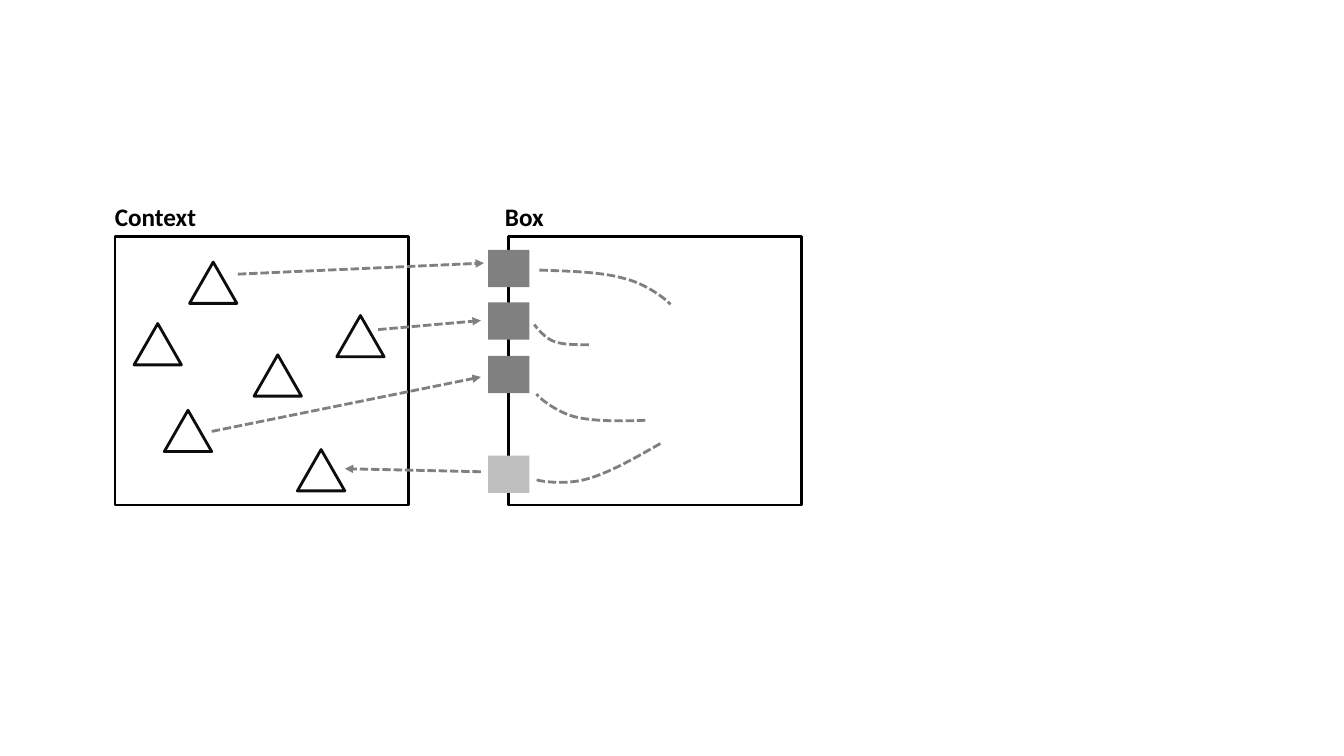
from pptx import Presentation
from pptx.dml.color import RGBColor
from pptx.enum.dml import MSO_LINE_DASH_STYLE as Dash
from pptx.enum.shapes import MSO_CONNECTOR, MSO_SHAPE
from pptx.enum.text import MSO_AUTO_SIZE
from pptx.oxml.ns import qn
from pptx.util import Pt
from lxml.etree import SubElement

PX = 9144  # EMU per px, 100 px to the inch
BLACK, INK, GRAY, LIGHT_GRAY = "000000", "0D0D0D", "808080", "BFBFBF"
FRAME_WIDTH, FRAME_HEIGHT = 291, 266
FRAME_TOP = 235
CONTEXT_LEFT, BOX_LEFT = 114, 504


def px(*lengths):
    return [length * PX for length in lengths]


def color(hex_code):
    return RGBColor.from_string(hex_code)


def set_line(shape, hex_code, dashed=False):
    shape.line.color.rgb = color(hex_code)
    shape.line.width = Pt(2)
    if dashed:
        shape.line.dash_style = Dash.SQUARE_DOT


def add_figure(slide, kind, left, top, width, height, fill=None, line=None):
    shape = slide.shapes.add_shape(kind, *px(left, top, width, height))
    shape.shadow.inherit = False
    if fill:
        shape.fill.solid()
        shape.fill.fore_color.rgb = color(fill)
    else:
        shape.fill.background()
    if line:
        set_line(shape, line)
    else:
        shape.line.fill.background()


def add_text(slide, text, left, top, width, height, size=18, bold=True,
             font="Calibri", hex_code=BLACK):
    frame = slide.shapes.add_textbox(*px(left, top, width, height)).text_frame
    frame.word_wrap = False
    frame.auto_size = MSO_AUTO_SIZE.SHAPE_TO_FIT_TEXT
    paragraph = frame.paragraphs[0]
    paragraph.text = text
    paragraph.font.size = Pt(size)
    paragraph.font.bold = bold
    paragraph.font.name = font
    paragraph.font.color.rgb = color(hex_code)


def add_arrow(slide, *ends):
    arrow = slide.shapes.add_connector(MSO_CONNECTOR.STRAIGHT, *px(*ends))
    set_line(arrow, GRAY, dashed=True)
    SubElement(arrow.line._get_or_add_ln(), qn("a:tailEnd"), type="triangle")
    SubElement(arrow._element.spPr, qn("a:effectLst"))


def add_curve(slide, left, top, points):
    """Draw a start point followed by Bezier triples, relative to left and top."""
    builder = slide.shapes.build_freeform(*points[0], scale=PX)
    builder.add_line_segments(points[1:], close=False)
    curve = builder.convert_to_shape(*px(left, top))
    curve.shadow.inherit = False
    curve.fill.background()
    set_line(curve, GRAY, dashed=True)
    # Merge every three straight segments into one cubic curve
    segments = list(curve._element.iter(qn("a:lnTo")))
    outline = segments[0].getparent()
    for start in range(0, len(segments), 3):
        bezier = SubElement(outline, qn("a:cubicBezTo"))
        for segment in segments[start:start + 3]:
            bezier.append(segment[0])
            outline.remove(segment)


def add_frame(slide, title, left, top, title_left, title_width):
    add_figure(slide, MSO_SHAPE.RECTANGLE, left, top, FRAME_WIDTH, FRAME_HEIGHT, line=BLACK)
    add_text(slide, title, title_left, top - 40, title_width, 40)


def add_context(slide, left, top):
    add_frame(slide, "Context", left, top, left - 10, 101)
    # Items scattered in the context
    for x, y in [(181, 211), (74, 25), (19, 86), (49, 172), (220, 78), (138, 117)]:
        add_figure(slide, MSO_SHAPE.ISOSCELES_TRIANGLE, left + x, top + y, 47, 41, line=INK)


def add_box(slide, left, top):
    add_frame(slide, "Box", left, top, left - 13, 59)
    # Three inputs and one output on the left edge
    for y, fill in [(13, GRAY), (65, GRAY), (118, GRAY), (217, LIGHT_GRAY)]:
        add_figure(slide, MSO_SHAPE.RECTANGLE, left - 20, top + y, 41, 37, fill=fill)
    # Paths inside the box
    for points in [
        [(31, 33), (62, 34), (93, 35), (114, 41), (136, 46), (157, 62), (161, 67)],
        [(136, 182), (111, 183), (86, 183), (68, 179), (50, 175), (32, 161), (28, 156)],
        [(80, 107), (67, 107), (55, 107), (46, 104), (37, 101), (28, 90), (26, 87)],
        [(151, 205), (125, 220), (100, 234), (79, 240), (59, 246), (34, 243), (28, 241)],
    ]:
        add_curve(slide, left, top, points)


def add_flows(slide, left, top):
    """Link the context, whose corner is given, with the box."""
    for x1, y1, x2, y2 in [(122, 37, 366, 26), (261, 92, 363, 83),
                           (96, 193, 363, 139), (363, 233, 228, 230)]:
        add_arrow(slide, left + x1, top + y1, left + x2, top + y2)


def main():
    presentation = Presentation()
    presentation.slide_width, presentation.slide_height = px(1333, 750)
    slide = presentation.slides.add_slide(presentation.slide_layouts[6])
    add_context(slide, CONTEXT_LEFT, FRAME_TOP)
    add_box(slide, BOX_LEFT, FRAME_TOP)
    add_flows(slide, CONTEXT_LEFT, FRAME_TOP)
    presentation.save("out.pptx")


if __name__ == "__main__":
    main()
